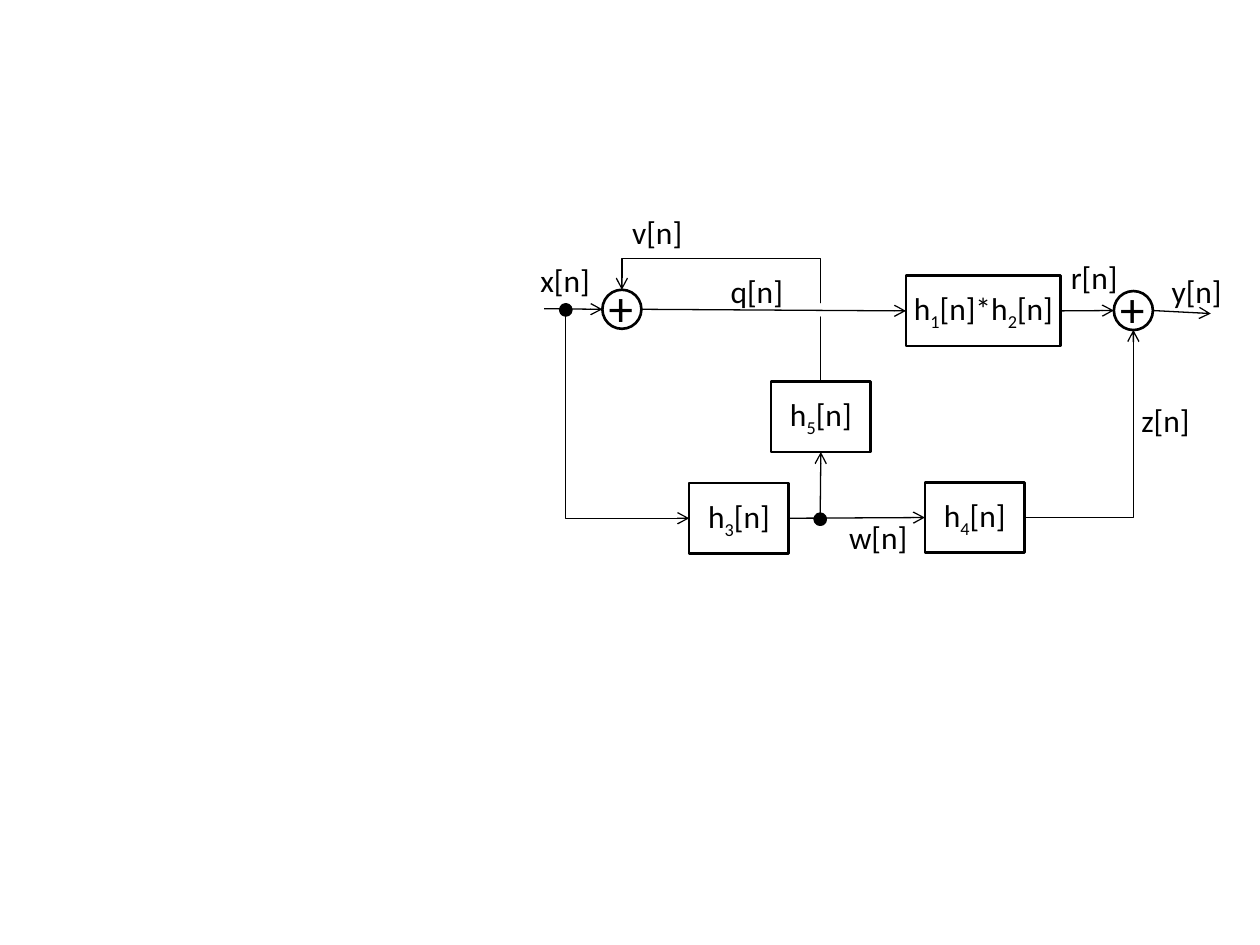
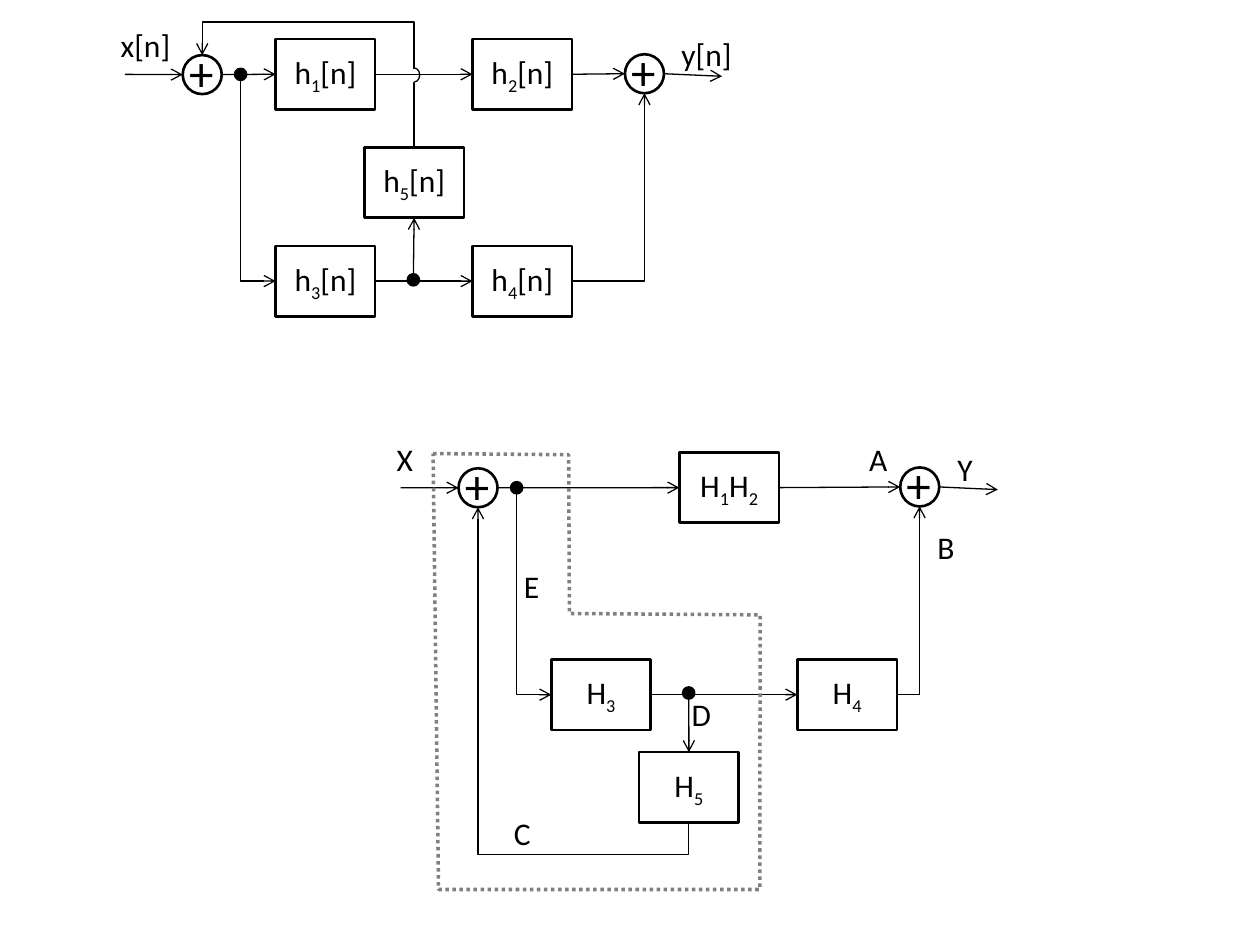
"""Draw block diagrams of linear systems on two slides."""
from dataclasses import dataclass, field
from typing import NamedTuple, Optional, Union

from lxml.etree import SubElement
from pptx import Presentation
from pptx.dml.color import RGBColor
from pptx.enum.dml import MSO_LINE
from pptx.enum.shapes import MSO_CONNECTOR, MSO_SHAPE
from pptx.enum.text import MSO_ANCHOR, MSO_AUTO_SIZE, PP_ALIGN
from pptx.oxml.ns import qn
from pptx.util import Pt

BLACK = RGBColor(0, 0, 0)
WHITE = RGBColor(255, 255, 255)
GRAY = RGBColor(128, 128, 128)
FONT = "Calibri"
BOX_W, BOX_H, RING, DOT = 56.9, 40.3, 22.3, 5.8
TOP, LEFT, BOTTOM, RIGHT = range(4)


class Point(NamedTuple):
    x: float
    y: float


class Port(NamedTuple):
    node: str
    side: int


End = Union[Point, Port]


class Box(NamedTuple):
    x: float
    y: float
    text: str
    w: float = BOX_W
    h: float = BOX_H


class Ring(NamedTuple):
    x: float
    y: float
    w: float = RING
    h: float = RING


class Wire(NamedTuple):
    start: End
    end: End


class Bend(NamedTuple):
    start: End
    end: End
    turn: int
    flip: str
    reach: Optional[float] = None


class Dot(NamedTuple):
    x: float
    y: float
    color: RGBColor = BLACK


class Label(NamedTuple):
    x: float
    y: float
    text: str
    w: float = 43.2
    h: float = 28.8
    size: float = 18


@dataclass
class Chart:
    nodes: dict
    bends: list
    dots: list
    wires: list
    labels: list
    arcs: list = field(default_factory=list)
    frame: list = field(default_factory=list)


def write(shape, text: str, size: float) -> None:
    """Write text whose parts between underscores are subscripts."""
    para = shape.text_frame.paragraphs[0]
    for i, part in enumerate(text.split("_")):
        if part:
            run = para.add_run()
            run.text = part
            run.font.name, run.font.size = FONT, Pt(size)
            run.font.color.rgb = BLACK
            if i % 2:
                run._r.get_or_add_rPr().set("baseline", "-25000")


def outline(slide, kind, x: float, y: float, w: float, h: float, width: float):
    """Add an unfilled preset shape with a black line."""
    shape = slide.shapes.add_shape(kind, Pt(x), Pt(y), Pt(w), Pt(h))
    shape.shadow.inherit = False
    shape.fill.background()
    shape.line.color.rgb = BLACK
    shape.line.width = Pt(width)
    return shape


def add_label(slide, label: Label) -> None:
    """Add a free label."""
    shape = slide.shapes.add_textbox(
        Pt(label.x), Pt(label.y), Pt(label.w), Pt(label.h))
    shape.text_frame.word_wrap = False
    shape.text_frame.auto_size = MSO_AUTO_SIZE.SHAPE_TO_FIT_TEXT
    write(shape, label.text, label.size)


def add_box(slide, box: Box):
    """Add a filter block with its name centred."""
    shape = outline(slide, MSO_SHAPE.RECTANGLE, box.x, box.y, box.w, box.h, 1.5)
    frame = shape.text_frame
    frame.word_wrap = False
    frame.vertical_anchor = MSO_ANCHOR.MIDDLE
    frame.margin_left = frame.margin_right = 0
    frame.margin_top = frame.margin_bottom = 0
    frame.paragraphs[0].alignment = PP_ALIGN.CENTER
    write(shape, box.text, 18)
    return shape


def add_ring(slide, ring: Ring) -> None:
    """Add a summing point."""
    add_label(slide, Label(ring.x - 3.5, ring.y - 10.8, "+", 29.5, 41, 28))
    outline(slide, MSO_SHAPE.OVAL, ring.x, ring.y, ring.w, ring.h, 1.5)


def add_dot(slide, dot: Dot) -> None:
    """Add a branch point or a gap in a line."""
    shape = outline(slide, MSO_SHAPE.OVAL, dot.x, dot.y, DOT, DOT, 2)
    shape.fill.solid()
    shape.fill.fore_color.rgb = shape.line.color.rgb = dot.color


def spot(nodes: dict, end: End) -> Point:
    """Return the place of an end, given as a point or a node's side."""
    if isinstance(end, Point):
        return end
    node = nodes[end.node]
    dx, dy = ((0.5, 0), (0, 0.5), (0.5, 1), (1, 0.5))[end.side]
    return Point(node.x + dx * node.w, node.y + dy * node.h)


def link(slide, kind, start: Point, end: Point):
    """Add a thin black connector with an open arrowhead."""
    line = slide.shapes.add_connector(
        kind, Pt(start.x), Pt(start.y), Pt(end.x), Pt(end.y))
    line.line.color.rgb = BLACK
    line.line.width = Pt(0.75)
    props = line._element.spPr
    SubElement(props.find(qn("a:ln")), qn("a:tailEnd"), type="arrow")
    SubElement(props, qn("a:effectLst"))
    return line


def add_wire(slide, nodes: dict, shapes: dict, wire: Wire) -> None:
    """Add a straight arrow and join it to the blocks it touches."""
    line = link(slide, MSO_CONNECTOR.STRAIGHT,
                spot(nodes, wire.start), spot(nodes, wire.end))
    for end, join in ((wire.start, line.begin_connect),
                      (wire.end, line.end_connect)):
        if isinstance(end, Port) and end.node in shapes:
            join(shapes[end.node], end.side)


def add_bend(slide, nodes: dict, bend: Bend) -> None:
    """Add an elbow arrow with one corner, or two if it has a reach."""
    start, end = spot(nodes, bend.start), spot(nodes, bend.end)
    w, h = abs(end.x - start.x), abs(end.y - start.y)
    if bend.turn:
        w, h = h, w
    mid_x, mid_y = (start.x + end.x) / 2, (start.y + end.y) / 2
    line = link(slide, MSO_CONNECTOR.ELBOW,
                Point(mid_x - w / 2, mid_y - h / 2),
                Point(mid_x + w / 2, mid_y + h / 2))
    props = line._element.spPr
    form = props.find(qn("a:xfrm"))
    form.set("rot", str(bend.turn * 60000))
    form.set(bend.flip, "1")
    shape = props.find(qn("a:prstGeom"))
    if bend.reach is None:
        shape.set("prst", "bentConnector2")
    else:
        SubElement(shape.find(qn("a:avLst")), qn("a:gd"), name="adj1",
                   fmla=f"val {round(bend.reach * 100000)}")


def add_frame(slide, points: list) -> None:
    """Add a dotted outline around a part of the system."""
    first, *rest = [(Pt(x), Pt(y)) for x, y in points]
    pen = slide.shapes.build_freeform(*first)
    pen.add_line_segments(rest, close=True)
    shape = pen.convert_to_shape()
    shape.shadow.inherit = False
    shape.fill.background()
    shape.line.color.rgb = GRAY
    shape.line.width = Pt(2)
    shape.line.dash_style = MSO_LINE.ROUND_DOT


def draw(slide, chart: Chart) -> None:
    """Draw one block diagram from back to front."""
    shapes = {}
    for key, node in chart.nodes.items():
        if isinstance(node, Box):
            shapes[key] = add_box(slide, node)
        else:
            add_ring(slide, node)
    for bend in chart.bends:
        add_bend(slide, chart.nodes, bend)
    for dot in chart.dots:
        add_dot(slide, dot)
    for wire in chart.wires:
        add_wire(slide, chart.nodes, shapes, wire)
    for x, y in chart.arcs:
        arc = outline(slide, MSO_SHAPE.ARC, x, y, DOT, 7.9, 0.75)
        arc.adjustments[1] = 55.81
    for label in chart.labels:
        add_label(slide, label)
    if chart.frame:
        add_frame(slide, chart.frame)


def bends(fork: Point, loop: Bend) -> list:
    """Return the elbows of a system: sum, fork and feedback."""
    return [Bend(Port("h4", RIGHT), Port("out", BOTTOM), 0, "flipV"),
            Bend(fork, Port("h3", LEFT), 270, "flipH"), loop]


def wires(enter: Point, leave: Point, tap: Point, side: int,
          *chain: str) -> list:
    """Return the straight arrows of a system, with its top row as a chain."""
    row = ("in", *chain, "out")
    pairs = [*zip(row, row[1:]), ("h3", "h4")]
    return [Wire(Port(a, RIGHT), Port(b, LEFT)) for a, b in pairs] + [
        Wire(enter, Port("in", LEFT)), Wire(Port("out", RIGHT), leave),
        Wire(tap, Port("h5", side))]


def rise(reach: float) -> Bend:
    """Return a feedback line that runs over the top row."""
    return Bend(Port("h5", TOP), Port("in", TOP), 270, "flipV", reach)


MERGED = Chart(
    nodes={"in": Ring(344.2, 165.6), "out": Ring(636.5, 166.3),
           "h3": Box(393.8, 276, "h_3_[n]"),
           "h12": Box(517.7, 157.5, "h_1_[n]*h_2_[n]", 88.4),
           "h5": Box(440.6, 218, "h_5_[n]"),
           "h4": Box(528.5, 275.6, "h_4_[n]")},
    bends=bends(Point(323.3, 180), rise(1.34)),
    dots=[Dot(465.8, 293.8), Dot(320.4, 174.2), Dot(466.6, 174.2, WHITE)],
    wires=wires(Point(311, 176.4), Point(691.9, 179.2), Point(468.7, 294.5),
                BOTTOM, "h12"),
    labels=[Label(301.7, 145.4, "x[n]"), Label(662.4, 152, "y[n]"),
            Label(354.2, 118.1, "v[n]"), Label(478.1, 292.3, "w[n]", 48.2),
            Label(410.4, 152, "q[n]", 44.6), Label(645.1, 225.4, "z[n]"),
            Label(604.8, 144, "r[n]", 41)])

SPLIT = Chart(
    nodes={"in": Ring(104.4, 31.5), "out": Ring(357.1, 31),
           "h1": Box(157.5, 22.3, "h_1_[n]"), "h2": Box(270, 22.3, "h_2_[n]"),
           "h3": Box(157.5, 140.5, "h_3_[n]"),
           "h4": Box(270, 140.5, "h_4_[n]"),
           "h5": Box(208.2, 84.2, "h_5_[n]")},
    bends=bends(Point(137.5, 44.6), rise(1.36)),
    dots=[Dot(233.3, 157), Dot(134.6, 39.6), Dot(234, 40.3, WHITE)],
    wires=wires(Point(71.3, 42.5), Point(412.6, 43.6), Point(236.2, 160.6),
                BOTTOM, "h1", "h2"),
    labels=[Label(61.9, 11.5, "x[n]"), Label(382.3, 16.6, "y[n]")],
    arcs=[(234, 38.9)])

SPECTRAL = Chart(
    nodes={"in": Ring(262, 267.6), "out": Ring(514.4, 267.1),
           "h12": Box(388.2, 258.5, "H_1_H_2_"),
           "h3": Box(315, 376.8, "H_3_"), "h5": Box(365.2, 429.8, "H_5_"),
           "h4": Box(455.6, 376.8, "H_4_")},
    bends=bends(Point(295.2, 281.5),
                Bend(Port("h5", BOTTOM), Port("in", BOTTOM), 90, "flipH",
                     -0.1)),
    dots=[Dot(390.6, 393.1), Dot(292.3, 275.8)],
    wires=wires(Point(229, 278.7), Point(570.2, 279.8), Point(393.6, 393.8),
                TOP, "h12"),
    labels=[Label(219.6, 247.7, "X", 25.2), Label(540, 253.4, "Y", 25.2),
            Label(489.6, 247.7, "A", 25.9), Label(528.5, 298.1, "B", 25.2),
            Label(388.1, 393.8, "D", 26.6), Label(286.6, 461.5, "C", 25.9),
            Label(292.3, 320.4, "E", 24.5)],
    frame=[(247.5, 259.2), (325, 259.9), (325.4, 350.6), (434.4, 351.4),
           (434.2, 508.3), (250.6, 508.3)])


def main() -> None:
    """Build the deck."""
    deck = Presentation()
    deck.slide_width, deck.slide_height = Pt(720), Pt(540)
    for charts in ((MERGED,), (SPLIT, SPECTRAL)):
        slide = deck.slides.add_slide(deck.slide_layouts[6])
        for chart in charts:
            draw(slide, chart)
    deck.save("out.pptx")


if __name__ == "__main__":
    main()
